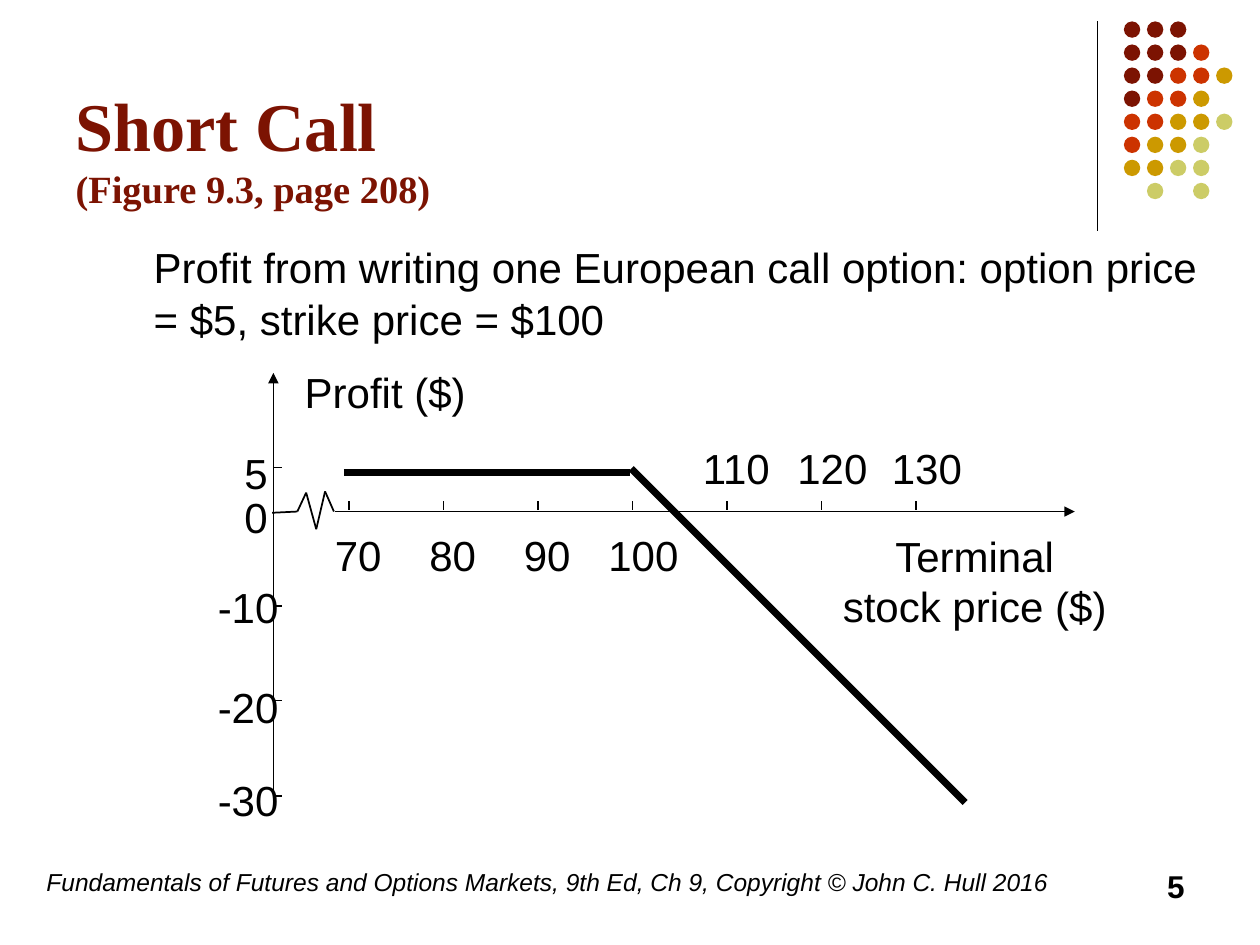
import pptx
import pptx.util
import pptx.dml.color
import pptx.enum.shapes
import pptx.enum.text
import pptx.oxml
import pptx.oxml.ns

Inches, Pt = pptx.util.Inches, pptx.util.Pt
RGBColor = pptx.dml.color.RGBColor
ALIGN = pptx.enum.text.PP_ALIGN

BLACK = RGBColor(0x00, 0x00, 0x00)
MAROON = RGBColor(0x7C, 0x13, 0x02)
DOT_COLORS = {
    "M": MAROON,
    "R": RGBColor(0xCC, 0x33, 0x00),
    "G": RGBColor(0xCC, 0x99, 0x00),
    "L": RGBColor(0xCC, 0xCC, 0x66),
}
DOT_ROWS = ["MMM", "MMMR", "MMRRG", "MRRG", "RRGGL", "RGGL", "GGLL", " L L"]
DOT_LEFT, DOT_TOP, DOT_PITCH, DOT_SIZE = 8.92, 0.17, 0.183, 0.13

TITLE = [("Short Call", 39), ("(Figure 9.3, page 208)", 22)]
BODY = "Profit from writing one European call option: option price = $5, strike price = $100"
FOOTER = "Fundamentals of Futures and Options Markets, 9th Ed, Ch 9, Copyright © John C. Hull 2016"
PAGE_NUMBER = "5"

AXIS_X, AXIS_Y = 2.17, 4.06
PRICES = range(70, 140, 10)
FIRST_PRICE_X, PRICE_STEP = 2.77, 0.75
STRIKE = 100
PROFIT_LABELS = [("5", 1.84, 3.5), ("0", 1.84, 3.85), ("-10", 1.63, 4.57),
                 ("-20", 1.63, 5.36), ("-30", 1.63, 6.1)]
PROFIT_TICKS = [3.71, 4.81, 5.56, 6.32]
AXIS_BREAK = [(2.16, 4.07), (2.36, 4.06), (2.43, 3.91), (2.51, 4.2), (2.58, 3.9), (2.65, 4.06)]
PAYOFF = [((2.73, 3.75), (5, 3.75)), ((5.01, 3.72), (7.66, 6.37))]


def style(span, size, color=BLACK, name="Arial", bold=False, italic=False):
    span.font.size, span.font.name = Pt(size), name
    span.font.bold, span.font.italic = bold, italic
    span.font.color.rgb = color


def place(shape, left, top, width, height):
    shape.left, shape.top = Inches(left), Inches(top)
    shape.width, shape.height = Inches(width), Inches(height)


def add_text(page, text, left, top, width, height=0.5, size=24,
             align=ALIGN.LEFT, wrap=False, **font):
    box = page.shapes.add_textbox(Inches(left), Inches(top), Inches(width), Inches(height))
    frame = box.text_frame
    frame.word_wrap = wrap
    frame.text = text
    for para in frame.paragraphs:
        para.alignment = align
        for span in para.runs:
            style(span, size, **font)


def add_line(page, start, end, width=1, arrow=False):
    line = page.shapes.add_connector(
        pptx.enum.shapes.MSO_CONNECTOR.STRAIGHT, *(Inches(value) for value in (*start, *end)))
    line.line.color.rgb = BLACK
    line.line.width = Pt(width)
    if arrow:
        tail = pptx.oxml.parse_xml(f'<a:tailEnd {pptx.oxml.ns.nsdecls("a")} type="triangle"/>')
        line.line._get_or_add_ln().append(tail)
    effects = pptx.oxml.parse_xml(f'<a:effectLst {pptx.oxml.ns.nsdecls("a")}/>')
    line._element.spPr.append(effects)


def add_decoration(page):
    add_line(page, (8.71, 0.17), (8.71, 1.83), width=0.75)
    for row, codes in enumerate(DOT_ROWS):
        for column, code in enumerate(codes):
            if code == " ":
                continue
            dot = page.shapes.add_shape(
                pptx.enum.shapes.MSO_SHAPE.OVAL,
                Inches(DOT_LEFT + column * DOT_PITCH), Inches(DOT_TOP + row * DOT_PITCH),
                Inches(DOT_SIZE), Inches(DOT_SIZE))
            dot.fill.solid()
            dot.fill.fore_color.rgb = DOT_COLORS[code]
            dot.line.fill.background()
            dot.shadow.inherit = False


def fill_placeholders(page):
    title, body = page.shapes.title, page.placeholders[1]
    place(title, 0.5, 0.33, 8.83, 1.67)
    place(body, 0.75, 1.75, 9, 4.5)
    for holder in (title, body):
        holder.text_frame.auto_size = pptx.enum.text.MSO_AUTO_SIZE.NONE
        holder.text_frame.word_wrap = True

    para = title.text_frame.paragraphs[0]
    para.alignment = ALIGN.LEFT
    for index, (text, size) in enumerate(TITLE):
        if index:
            para.add_line_break()
        span = para.add_run()
        span.text = text
        style(span, size, MAROON, "Times New Roman", bold=True)

    body.text_frame.margin_top = Inches(0.15)
    para = body.text_frame.paragraphs[0]
    properties = para._p.get_or_add_pPr()
    properties.set("marL", str(Inches(0.37)))
    properties.set("indent", "0")
    properties.append(pptx.oxml.parse_xml(f'<a:buNone {pptx.oxml.ns.nsdecls("a")}/>'))
    para.space_before = Pt(0)
    para.line_spacing = Pt(30)
    span = para.add_run()
    span.text = BODY
    style(span, 24)


def add_diagram(page):
    for label, left, top in PROFIT_LABELS:
        add_text(page, label, left, top, 0.38 if len(label) == 1 else 0.68)
    add_line(page, (AXIS_X, 6.45), (AXIS_X, 2.96), arrow=True)
    add_line(page, (2.66, AXIS_Y), (8.53, AXIS_Y), arrow=True)
    for start, end in zip(AXIS_BREAK, AXIS_BREAK[1:]):
        add_line(page, start, end)
    for y in PROFIT_TICKS:
        add_line(page, (AXIS_X, y), (AXIS_X + 0.07, y))
    for index, price in enumerate(PRICES):
        x = FIRST_PRICE_X + index * PRICE_STEP
        add_line(page, (x, 3.98), (x, 4.05))
        offset, width = (0.21, 0.57) if price < 100 else (0.29, 0.76)
        add_text(page, str(price), x - offset, 4.15 if price <= STRIKE else 3.46, width)
    add_text(page, "Profit ($)", 2.32, 2.86, 1.48)
    add_text(page, "Terminal\nstock price ($)", 6.59, 4.16, 2.29, 0.9, align=ALIGN.CENTER)
    for start, end in PAYOFF:
        add_line(page, start, end, width=4)


def main():
    deck = pptx.Presentation()
    deck.slide_width, deck.slide_height = Inches(10), Inches(7.5)
    page = deck.slides.add_slide(deck.slide_layouts[1])
    add_decoration(page)
    fill_placeholders(page)
    add_diagram(page)
    add_text(page, FOOTER, 0.27, 6.83, 8.27, size=14, wrap=True, italic=True)
    add_text(page, PAGE_NUMBER, 7.17, 6.83, 2.33, size=18, align=ALIGN.RIGHT, wrap=True, bold=True)
    deck.save("out.pptx")


if __name__ == "__main__":
    main()
